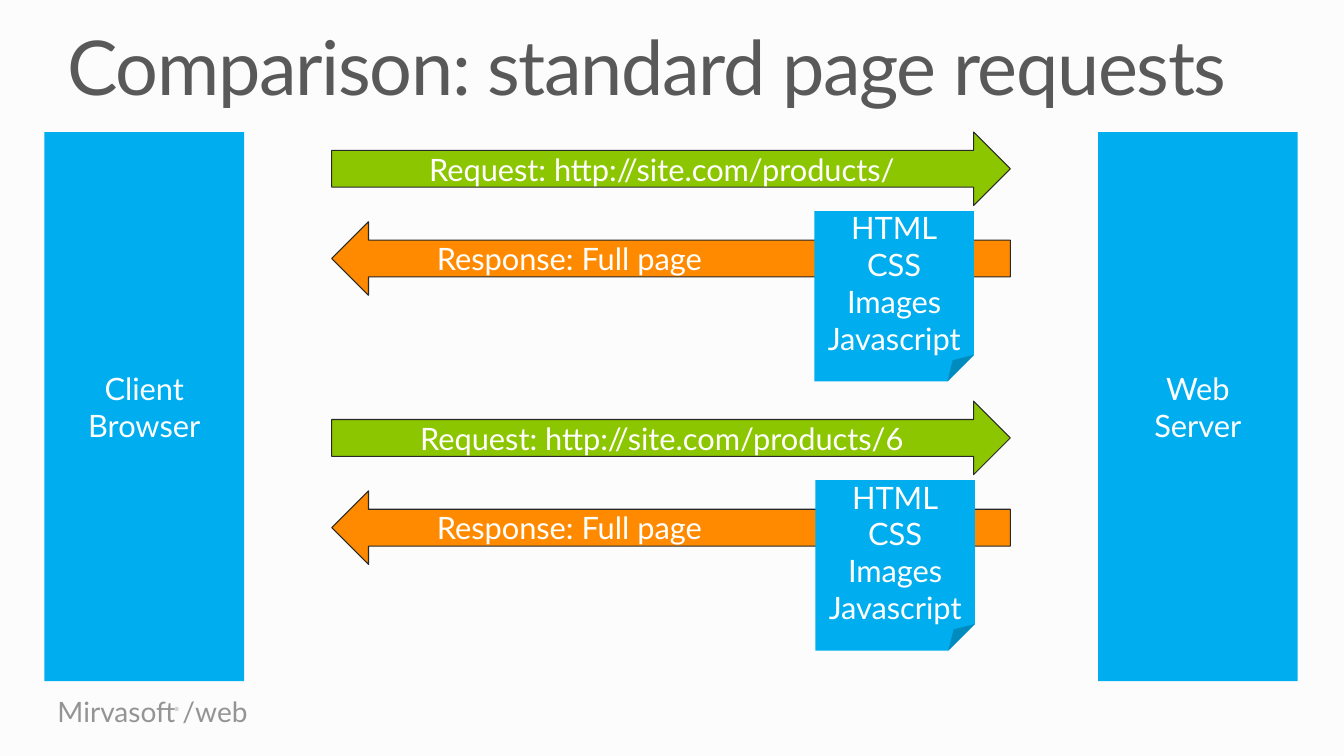
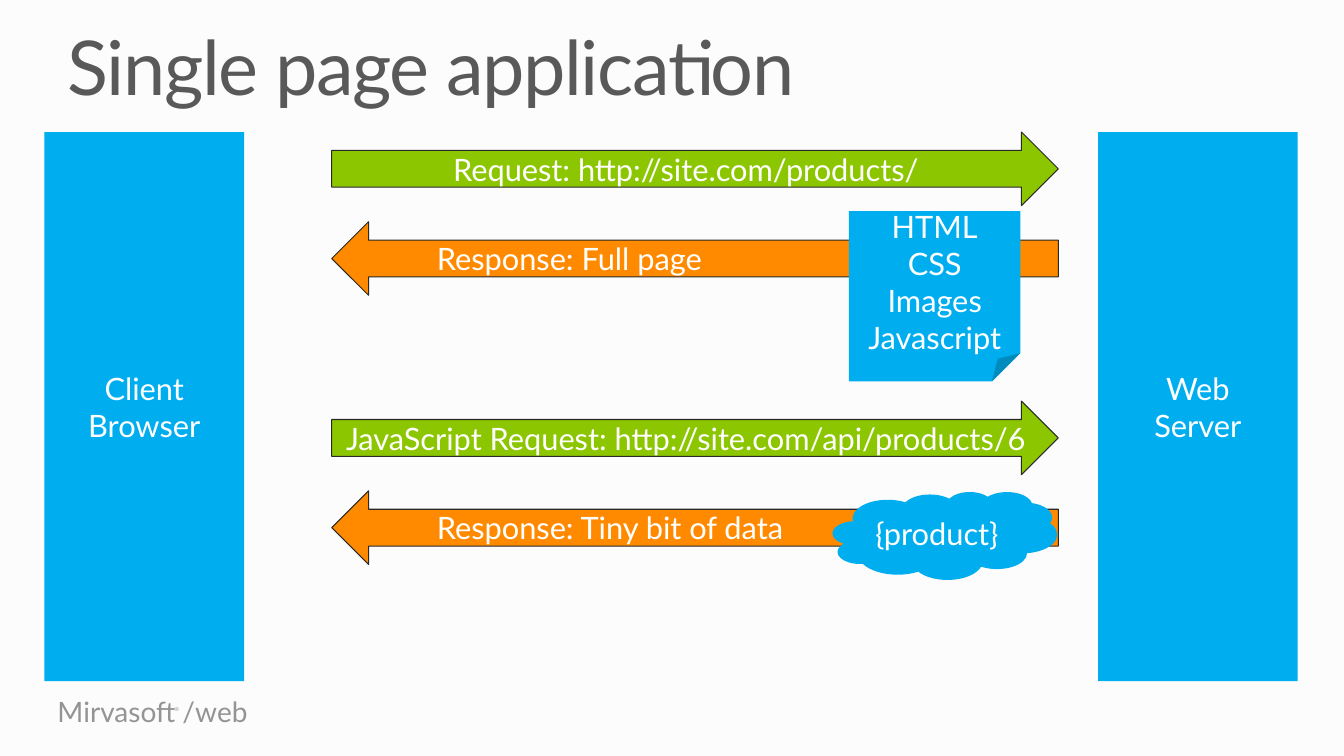
"""Build two slides that compare full page requests with a single page application."""
from dataclasses import dataclass

import pptx
import pptx.dml.color
import pptx.enum.shapes
import pptx.enum.text
import pptx.util

SHAPE = pptx.enum.shapes.MSO_SHAPE
ALIGN = pptx.enum.text.PP_ALIGN
ANCHOR = pptx.enum.text.MSO_ANCHOR
AUTO_SIZE = pptx.enum.text.MSO_AUTO_SIZE


@dataclass(frozen=True)
class Theme:
    """Colours, font and type sizes of the deck."""
    font: str = "Lato"
    paper: str = "FCFCFC"
    title: str = "595959"
    footer: str = "949494"
    outline: str = "292929"
    text: str = "FFFFFF"
    blue: str = "00AEEF"
    green: str = "8CC600"
    orange: str = "FF8A00"
    title_pt: float = 54
    body_pt: float = 22
    footer_pt: float = 20
    mark_pt: float = 4
    line_pt: float = 0.75


@dataclass(frozen=True)
class Grid:
    """Diagram grid, in inches: origin and size of one cell."""
    left: float = 0.44
    top: float = 1.31
    col: float = 0.475
    row: float = 0.89

    def place(self, box: "Box") -> tuple:
        """Turn a box in cells into left, top, width and height."""
        return inches(self.left + box.col * self.col, self.top + box.row * self.row,
                      box.cols * self.col, box.rows * self.row)


@dataclass(frozen=True)
class Box:
    """An area in columns and rows of the grid."""
    col: float
    row: float
    cols: float
    rows: float


@dataclass(frozen=True)
class Node:
    """A filled blue shape with centred text."""
    text: str
    box: Box
    kind: SHAPE = SHAPE.RECTANGLE


@dataclass(frozen=True)
class Message:
    """An arrow between the client and the server."""
    text: str
    row: int
    is_reply: bool = False


@dataclass(frozen=True)
class Page:
    """The content of one slide."""
    title: str
    arrow_cols: float
    messages: tuple
    payloads: tuple


THEME = Theme()
GRID = Grid()
WIDTH, HEIGHT = 13.33, 7.5
ARROW_COL, ARROW_ROWS = 6, 0.82
REPLY_INDENT = 0.86
PAYLOAD = "HTML\nCSS\nImages\nJavascript"

ENDPOINTS = (
    Node("Client Browser", Box(0, 0, 4.17, 6.12)),
    Node("Web\vServer", Box(22, 0, 4.17, 6.12)),
)


def document(col: float, row: float, cols: float) -> Node:
    """Describe the full page that a reply carries."""
    return Node(PAYLOAD, Box(col, row - 0.12, cols, 1.9), SHAPE.FOLDED_CORNER)


PAGES = (
    Page("Comparison: standard page requests", 14.17,
         (Message("Request: http://site.com/products/", 0),
          Message("Response: Full page", 1, True),
          Message("Request: http://site.com/products/6", 3),
          Message("Response: Full page", 4, True)),
         (document(16.08, 1, 3.33), document(16.1, 4, 3.33))),
    Page("Single page application", 15.17,
         (Message("Request: http://site.com/products/", 0),
          Message("Response: Full page", 1, True),
          Message("JavaScript Request: http://site.com/api/products/6", 3),
          Message("Response: Tiny bit of data", 4, True)),
         (document(16.8, 1, 3.58),
          Node("{product}", Box(16.46, 4.01, 4.69, 0.98), SHAPE.CLOUD))),
)


def inches(*lengths: float) -> tuple:
    """Convert lengths in inches."""
    return tuple(pptx.util.Inches(n) for n in lengths)


def rgb(code: str) -> pptx.dml.color.RGBColor:
    """Convert a hex colour."""
    return pptx.dml.color.RGBColor.from_string(code)


def style_text(tf, size: float, color: str, align=ALIGN.LEFT, spacing: float = 1) -> None:
    """Format every paragraph and run of a text frame."""
    for p in tf.paragraphs:
        p.alignment = align
        p.line_spacing = spacing
        for r in p.runs:
            r.font.name = THEME.font
            r.font.size = pptx.util.Pt(size)
            r.font.color.rgb = rgb(color)


def add_block(slide, kind: SHAPE, box: Box, text: str, fill: str, align=ALIGN.CENTER):
    """Draw a filled shape without outline on the grid."""
    sp = slide.shapes.add_shape(kind, *GRID.place(box))
    sp.shadow.inherit = False
    sp.fill.solid()
    sp.fill.fore_color.rgb = rgb(fill)
    sp.line.fill.background()
    tf = sp.text_frame
    tf.text = text
    tf.word_wrap = True
    tf.vertical_anchor = ANCHOR.MIDDLE
    style_text(tf, THEME.body_pt, THEME.text, align)
    return sp


def add_node(slide, node: Node) -> None:
    """Draw an endpoint or a payload."""
    add_block(slide, node.kind, node.box, node.text, THEME.blue)


def add_message(slide, message: Message, cols: float) -> None:
    """Draw a request to the right or a reply to the left."""
    box = Box(ARROW_COL, message.row, cols, ARROW_ROWS)
    if message.is_reply:
        sp = add_block(slide, SHAPE.LEFT_ARROW, box, message.text, THEME.orange, ALIGN.LEFT)
        sp.text_frame.margin_left = pptx.util.Inches(REPLY_INDENT)
    else:
        sp = add_block(slide, SHAPE.RIGHT_ARROW, box, message.text, THEME.green)
    sp.line.color.rgb = rgb(THEME.outline)
    sp.line.width = pptx.util.Pt(THEME.line_pt)


def set_title(slide, text: str) -> None:
    """Place and format the title placeholder."""
    sp = slide.shapes.title
    sp.left, sp.top, sp.width, sp.height = inches(0.57, 0.25, 12.19, 0.82)
    tf = sp.text_frame
    tf.text = text
    tf.word_wrap = True
    tf.auto_size = AUTO_SIZE.NONE
    tf.vertical_anchor = ANCHOR.TOP
    style_text(tf, THEME.title_pt, THEME.title, spacing=0.9)
    for r in tf.paragraphs[0].runs:
        r.font._element.set("spc", "-100")


def add_label(slide, text: str, area: tuple, size: float, spacing: float, wrap: bool) -> None:
    """Add footer text without margins."""
    tf = slide.shapes.add_textbox(*inches(*area)).text_frame
    tf.margin_left = tf.margin_top = tf.margin_right = tf.margin_bottom = 0
    tf.word_wrap = wrap
    tf.text = text
    style_text(tf, size, THEME.footer, spacing=spacing)


def add_footer(slide) -> None:
    """Add the footer shared by all slides."""
    add_label(slide, "Mirvasoft /web", (0.57, 6.93, 1.93, 0.3), THEME.footer_pt, 0.9, True)
    add_label(slide, "®", (1.73, 7, 0.05, 0.07), THEME.mark_pt, 1, False)


def add_page(prs, page: Page) -> None:
    """Add one complete slide."""
    slide = prs.slides.add_slide(prs.slide_layouts.get_by_name("Title Only"))
    add_footer(slide)
    set_title(slide, page.title)
    for node in ENDPOINTS:
        add_node(slide, node)
    for message in page.messages:
        add_message(slide, message, page.arrow_cols)
    for node in page.payloads:
        add_node(slide, node)


def main() -> None:
    """Build and save the deck."""
    prs = pptx.Presentation()
    prs.slide_width, prs.slide_height = inches(WIDTH, HEIGHT)
    fill = prs.slide_master.background.fill
    fill.solid()
    fill.fore_color.rgb = rgb(THEME.paper)
    for page in PAGES:
        add_page(prs, page)
    prs.save("out.pptx")


main()
